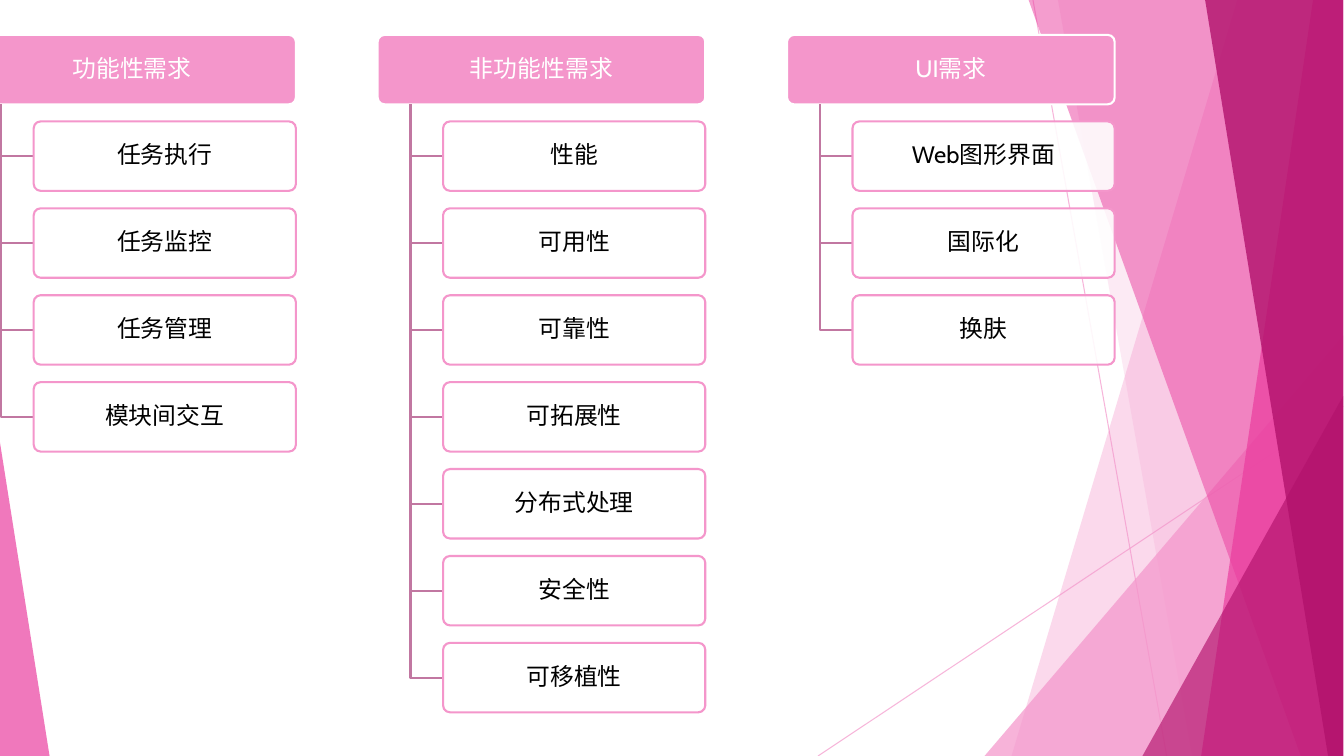
from dataclasses import dataclass
from itertools import groupby

from lxml.etree import SubElement
from pptx import Presentation
from pptx.dml.color import RGBColor
from pptx.enum.shapes import MSO_CONNECTOR, MSO_SHAPE
from pptx.enum.text import MSO_ANCHOR, PP_ALIGN
from pptx.oxml.ns import qn
from pptx.util import Cm, Pt


@dataclass(frozen=True)
class Theme:
    pale: str = "F496CB"
    vivid: str = "EA3C9E"
    deep: str = "B2126C"
    branch: str = "C177A1"
    white: str = "FFFFFF"
    black: str = "000000"
    latin_font: str = "Cabin"
    asian_font: str = "Noto Sans CJK JP"
    text_size: float = 17
    space_after: float = 7.4
    box_line: float = 1.5
    thin_line: float = 0.75


def apply_format(target, values):
    for name, value in values.items():
        setattr(target, name, value)


class SlideBuilder:
    def __init__(self, slide, theme):
        self.slide = slide
        self.theme = theme

    def paint(self, shape, fill=None, opacity=100, line=None, width=None):
        shape.shadow.inherit = False
        if fill:
            shape.fill.solid()
            shape.fill.fore_color.rgb = RGBColor.from_string(fill)
            self.set_opacity(shape.element.spPr.find(qn("a:solidFill")), opacity)
        else:
            shape.fill.background()
        if line:
            self.stroke(shape, line, width)
        else:
            shape.line.fill.background()

    def stroke(self, shape, color, width):
        shape.line.color.rgb = RGBColor.from_string(color)
        shape.line.width = Pt(width)

    def set_opacity(self, solid_fill, opacity):
        if opacity < 100:
            color = solid_fill.find(qn("a:srgbClr"))
            SubElement(color, qn("a:alpha"), val=str(opacity * 1000))

    def thin_line(self, start, end, opacity):
        ends = [Cm(value) for value in (*start, *end)]
        connector = self.slide.shapes.add_connector(MSO_CONNECTOR.STRAIGHT, *ends)
        self.stroke(connector, self.theme.pale, self.theme.thin_line)
        properties = connector.element.spPr
        self.set_opacity(properties.find(qn("a:ln")).find(qn("a:solidFill")), opacity)
        SubElement(properties, qn("a:effectLst"))

    def outline(self, points, closed, **style):
        start, *others = [(Cm(x), Cm(y)) for x, y in points]
        builder = self.slide.shapes.build_freeform(*start)
        builder.add_line_segments(others, close=closed)
        self.paint(builder.convert_to_shape(), **style)

    def preset(self, kind, bounds, adjustment, **style):
        shape = self.slide.shapes.add_shape(kind, *[Cm(value) for value in bounds])
        shape.adjustments[0] = adjustment
        self.paint(shape, **style)
        return shape

    def box(self, text, bounds, color, **style):
        shape = self.preset(MSO_SHAPE.ROUNDED_RECTANGLE, bounds, 0.1,
                            width=self.theme.box_line, **style)
        frame = shape.text_frame
        apply_format(frame, {
            "word_wrap": True, "vertical_anchor": MSO_ANCHOR.MIDDLE,
            "margin_left": Cm(0.2), "margin_right": Cm(0.2),
            "margin_top": Cm(0.1), "margin_bottom": Cm(0.1),
        })
        paragraph = frame.paragraphs[0]
        apply_format(paragraph, {
            "alignment": PP_ALIGN.CENTER, "line_spacing": 0.9,
            "space_after": Pt(self.theme.space_after),
        })
        for is_latin, letters in groupby(text, str.isascii):
            run = paragraph.add_run()
            run.text = "".join(letters)
            run.font.color.rgb = RGBColor.from_string(color)
            apply_format(run.font, {
                "size": Pt(self.theme.text_size),
                "name": self.theme.latin_font if is_latin else self.theme.asian_font,
            })
            SubElement(run.font._element, qn("a:ea"), typeface=self.theme.asian_font)


SLIDE_WIDTH, SLIDE_HEIGHT = 33.88, 19.05
RIGHT_EDGE = 33.86

REQUIREMENTS = {
    "功能性需求": ["任务执行", "任务监控", "任务管理", "模块间交互"],
    "非功能性需求": ["性能", "可用性", "可靠性", "可拓展性", "分布式处理", "安全性", "可移植性"],
    "UI需求": ["Web图形界面", "国际化", "换肤"],
}
FIRST_LEFT, COLUMN_PITCH = -0.8, 10.32
HEADER_TOP, HEADER_WIDTH, BOX_HEIGHT = 0.88, 8.26, 1.75
FIRST_TOP, ROW_PITCH = 3.06, 2.19
BRANCH_INDENT, ITEM_INDENT = 0.83, 1.65


def draw_facets(builder):
    theme = builder.theme
    builder.thin_line((26.04, 0), (29.41, SLIDE_HEIGHT), 69)
    builder.thin_line((RIGHT_EDGE, 10.24), (20.62, SLIDE_HEIGHT), 69)

    def band(top_left, bottom_left, color, opacity):
        points = [(top_left, 0), (RIGHT_EDGE, 0),
                  (RIGHT_EDGE, SLIDE_HEIGHT), (bottom_left, SLIDE_HEIGHT)]
        builder.outline(points, True, fill=color, opacity=opacity)

    def corner(left, top, width, apex, color, opacity):
        builder.preset(MSO_SHAPE.ISOSCELES_TRIANGLE,
                       (left, top, width, SLIDE_HEIGHT - top), apex,
                       fill=color, opacity=opacity)

    band(31.19, 25.5, theme.pale, 36)
    band(26.67, 30.05, theme.pale, 20)
    corner(24.82, 8.46, 9.04, 1, theme.pale, 72)
    band(25.93, 32.79, theme.vivid, 50)
    band(33.1, 30.28, theme.vivid, 69)
    band(30.38, 33.48, theme.deep, 80)
    corner(28.8, 9.98, 5.06, 1, theme.deep, 65)
    corner(0, 11.15, 1.25, 0, theme.vivid, 69)


def draw_column(builder, left, title, items):
    theme = builder.theme
    builder.box(title, (left, HEADER_TOP, HEADER_WIDTH, BOX_HEIGHT), theme.white,
                fill=theme.pale, line=theme.white)
    branch_left, item_left = left + BRANCH_INDENT, left + ITEM_INDENT
    for row, item in enumerate(items):
        top = FIRST_TOP + row * ROW_PITCH
        middle = top + BOX_HEIGHT / 2
        branch = [(branch_left, HEADER_TOP + BOX_HEIGHT),
                  (branch_left, middle), (item_left, middle)]
        builder.outline(branch, False, line=theme.branch, width=theme.box_line)
        builder.box(item, (item_left, top, HEADER_WIDTH - ITEM_INDENT, BOX_HEIGHT),
                    theme.black, fill=theme.white, opacity=89, line=theme.pale)


def main():
    presentation = Presentation()
    apply_format(presentation, {"slide_width": Cm(SLIDE_WIDTH),
                                "slide_height": Cm(SLIDE_HEIGHT)})
    slide = presentation.slides.add_slide(presentation.slide_layouts[6])
    builder = SlideBuilder(slide, Theme())
    draw_facets(builder)
    for column, (title, items) in enumerate(REQUIREMENTS.items()):
        draw_column(builder, FIRST_LEFT + column * COLUMN_PITCH, title, items)
    presentation.save("out.pptx")


if __name__ == "__main__":
    main()
